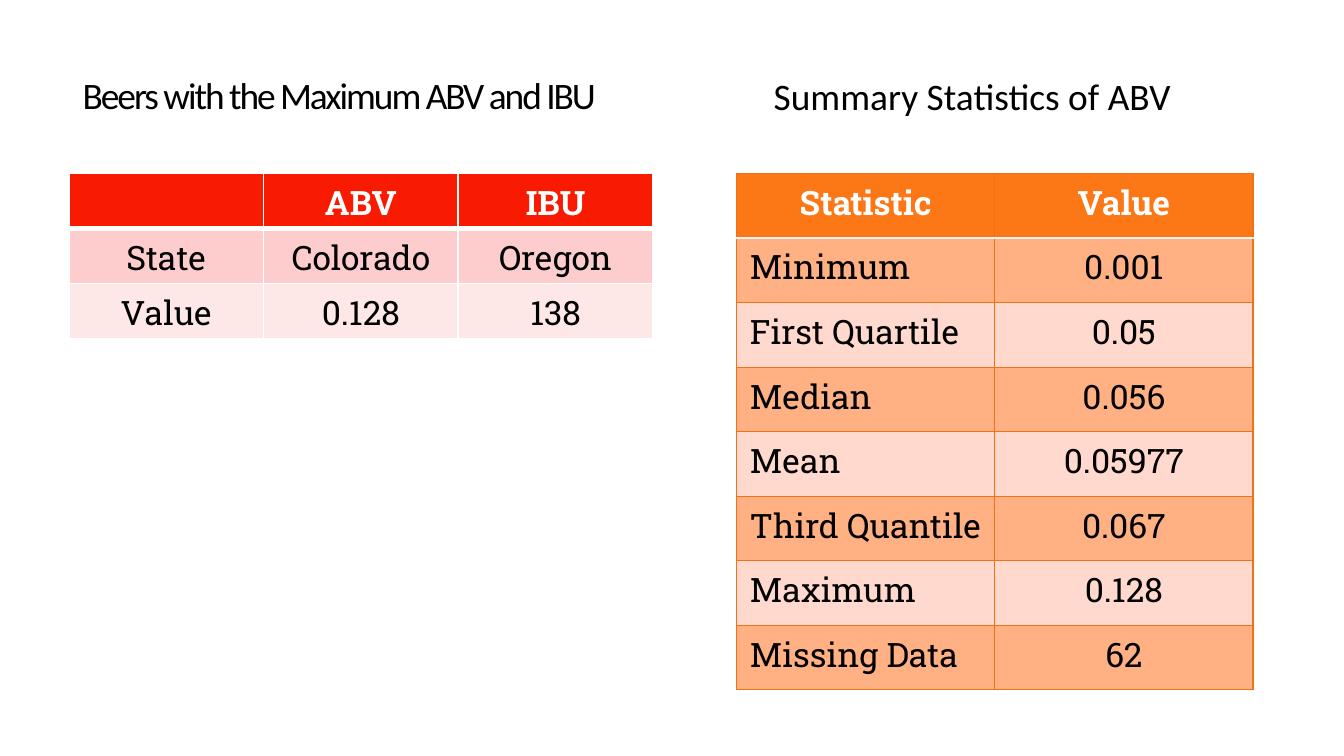
from pptx import Presentation
from pptx.dml.color import RGBColor as RGB
from pptx.enum.text import MSO_ANCHOR as Anchor, PP_ALIGN as Align
from pptx.oxml.ns import qn
from pptx.util import Cm, Pt
from lxml.etree import SubElement as Sub

BLACK = RGB(0x00, 0x00, 0x00)
WHITE = RGB(0xFF, 0xFF, 0xFF)
RED = RGB(0xF8, 0x1B, 0x02)
PINK = RGB(0xFC, 0xCD, 0xCC)
BLUSH = RGB(0xFE, 0xE8, 0xE7)
ORANGE = RGB(0xFC, 0x77, 0x15)
RUST = RGB(0xF1, 0x72, 0x14)
PEACH = RGB(0xFF, 0xB1, 0x84)
CREAM = RGB(0xFF, 0xD9, 0xCE)
PALE = RGB(0xF4, 0xF4, 0xF4)


class Deck:
    head_font = "Calibri"
    cell_font = "Roboto Slab"
    head_size = Pt(20)
    cell_size = Pt(18)
    inset = 0.25

    def __init__(self, wide, high):
        self.prs = Presentation()
        self.prs.slide_width, self.prs.slide_height = Cm(wide), Cm(high)
        self.slide = self.prs.slides.add_slide(self.prs.slide_layouts[6])

    def run(self, para, text, font, size, color, bold=False):
        run = para.add_run()
        run.text = text
        run.font.name, run.font.size = font, size
        run.font.bold = bold
        run.font.color.rgb = color
        return run

    def heading(self, text, left, top, wide, high, pitch, indent=0, track=0):
        box = self.slide.shapes.add_textbox(Cm(left), Cm(top), Cm(wide), Cm(high))
        frame = box.text_frame
        frame.word_wrap = True
        frame.vertical_anchor = Anchor.TOP
        frame.margin_left = Cm(self.inset + indent)
        frame.margin_right = frame.margin_top = frame.margin_bottom = Cm(self.inset)
        para = frame.paragraphs[0]
        para.alignment = Align.CENTER
        para.line_spacing = pitch
        run = self.run(para, text, self.head_font, self.head_size, BLACK)
        if track:
            run.font._element.set("spc", str(int(track * 100)))

    def edges(self, cell, lines):
        props = cell._tc.get_or_add_tcPr()
        for spot, (side, (color, width)) in enumerate(lines.items()):
            line = Sub(props, qn("a:ln" + side), w=str(Pt(width)))
            fill = Sub(line, qn("a:solidFill"))
            Sub(fill, qn("a:srgbClr"), val=str(color))
            props.insert(spot, line)  # borders precede the fill

    def table(self, rows, left, top, wide, high, head, bands, line, rule, aligns):
        """line and rule are (color, points); rule runs under the header."""
        count = len(rows[0])
        grid = self.slide.shapes.add_table(
            len(rows), count, Cm(left), Cm(top),
            Cm(wide * count), Cm(high * len(rows))).table
        grid.first_row = grid.horz_banding = False
        for col in grid.columns:
            col.width = Cm(wide)
        for r, row in enumerate(rows):
            grid.rows[r].height = Cm(high)
            for c, text in enumerate(row):
                cell = grid.cell(r, c)
                cell.fill.solid()
                cell.fill.fore_color.rgb = bands[(r - 1) % 2] if r else head
                para = cell.text_frame.paragraphs[0]
                para.alignment = aligns[c] if r else Align.CENTER
                if text:
                    self.run(para, text, self.cell_font, self.cell_size,
                             BLACK if r else WHITE, bold=not r)
                self.edges(cell, {"L": line, "R": line,
                                  "T": rule if r == 1 else line,
                                  "B": line if r else rule})


deck = Deck(25.4, 14.29)

# Headings
deck.heading("Beers with the Maximum ABV and IBU",
             0.86, 1.24, 11.1, 2.03, pitch=0.85, track=-1.1)
deck.heading("Summary Statistics of ABV",
             12.7, 0.97, 10.97, 2.03, pitch=1.2, indent=0.38)

# Maximum values
peaks = [("", "ABV", "IBU"),
         ("State", "Colorado", "Oregon"),
         ("Value", "0.128", "138")]
deck.table(peaks, 1.3, 3.28, 3.68, 1.04, RED, (PINK, BLUSH),
           (WHITE, 1), (WHITE, 3), [Align.CENTER] * 3)

# Summary statistics
stats = [("Statistic", "Value"),
         ("Minimum", "0.001"),
         ("First Quartile", "0.05"),
         ("Median", "0.056"),
         ("Mean", "0.05977"),
         ("Third Quantile", "0.067"),
         ("Maximum", "0.128"),
         ("Missing Data", "62")]
deck.table(stats, 13.92, 3.28, 4.88, 1.22, ORANGE, (PEACH, CREAM),
           (RUST, 0.75), (PALE, 1.25), [Align.LEFT, Align.CENTER])

deck.prs.save("out.pptx")
